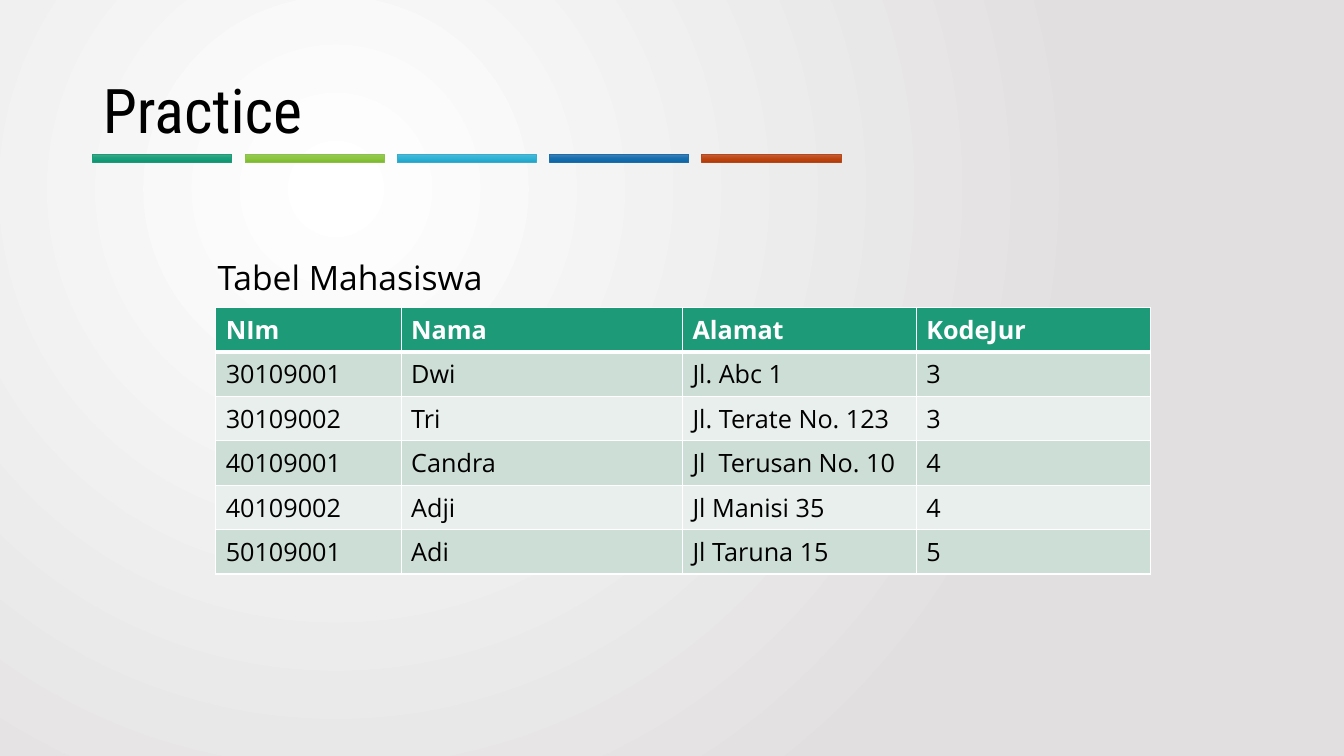
from pptx import Presentation
from pptx.dml.color import RGBColor
from pptx.enum.shapes import MSO_SHAPE
from pptx.enum.text import MSO_ANCHOR, MSO_AUTO_SIZE, PP_ALIGN
from pptx.oxml.ns import qn
from pptx.util import Inches, Pt
from lxml.etree import SubElement

WIDTH, HEIGHT = Inches(13.33), Inches(7.5)
HEAD, BODY = "Roboto Condensed", "Open Sans"
COLORS = {
    "text": "000000", "white": "FFFFFF", "edge": "E1DFDF",
    "header": "1D9A78", "odd": "CDDED6", "even": "E8EFEC",
}
# Each bar: top, middle and bottom of the gradient, then the outline
BARS = {
    "green": ("4EA788", "17A07B", "0F9470", "1D9A78"),
    "lime": ("98C862", "8CC73F", "7DB831", "8BC145"),
    "cyan": ("59B8D4", "2EB3D6", "21A4C6", "36AFCE"),
    "blue": ("4E80B5", "1670B0", "0D65A3", "1D6FA9"),
    "rust": ("C2634D", "BF4611", "B13B08", "B74919"),
}
STUDENTS = [
    ("NIm", "Nama", "Alamat", "KodeJur"),
    ("30109001", "Dwi", "Jl. Abc 1", "3"),
    ("30109002", "Tri", "Jl. Terate No. 123", "3"),
    ("40109001", "Candra", "Jl  Terusan No. 10", "4"),
    ("40109002", "Adji", "Jl Manisi 35", "4"),
    ("50109001", "Adi", "Jl Taruna 15", "5"),
]
COLUMNS = (13.8, 20.93, 17.4, 17.4)
ROW = 5.4


def across(share):
    """Percent of the slide's width."""
    return int(WIDTH * share / 100)


def down(share):
    """Percent of the slide's height."""
    return int(HEIGHT * share / 100)


def area(left, top, width, height):
    return across(left), down(top), across(width), down(height)


def color(name):
    return RGBColor.from_string(COLORS[name])


def blend(owner, fill, stops):
    """Give the fill evenly spaced gradient stops and return its element."""
    fill.gradient()
    grad = owner.find(".//" + qn("a:gradFill"))
    for child in list(grad):
        grad.remove(child)
    group = SubElement(grad, qn("a:gsLst"))
    for i, shade in enumerate(stops):
        stop = SubElement(group, qn("a:gs"), pos=str(i * 100000 // (len(stops) - 1)))
        SubElement(stop, qn("a:srgbClr"), val=shade)
    return grad


def backdrop(slide):
    stops = COLORS["white"], COLORS["edge"]
    grad = blend(slide.element, slide.background.fill, stops)
    track = SubElement(grad, qn("a:path"), path="circle")
    SubElement(track, qn("a:fillToRect"), l="50000", t="50000", r="100000", b="100000")


def write(frame, text, size, font, shade="text", bold=False):
    para = frame.paragraphs[0]
    para.alignment = PP_ALIGN.LEFT
    run = para.add_run()
    run.text = text
    run.font.size, run.font.name, run.font.bold = Pt(size), font, bold
    run.font.color.rgb = color(shade)
    return para


def bar(slide, left, shades):
    *stops, edge = shades
    shape = slide.shapes.add_shape(MSO_SHAPE.RECTANGLE, *area(left, 20.4, 10.35, 1.07))
    shape.shadow.inherit = False
    grad = blend(shape.element, shape.fill, stops)
    SubElement(grad, qn("a:lin"), ang="5400000", scaled="0")
    shape.line.color.rgb = RGBColor.from_string(edge)
    shape.line.width = Pt(0.5)


def heading(slide, text):
    title = slide.shapes.title
    title.left, title.top, title.width, title.height = area(6.9, 5.33, 86.27, 19.33)
    title.text_frame.vertical_anchor = MSO_ANCHOR.MIDDLE
    write(title.text_frame, text, 44, HEAD).line_spacing = 0.9


def label(slide, text):
    frame = slide.shapes.add_textbox(*area(15.45, 33.33, 21.45, 6.67)).text_frame
    frame.word_wrap = False
    frame.auto_size = MSO_AUTO_SIZE.SHAPE_TO_FIT_TEXT
    write(frame, text, 24, BODY)


def border(cell, widths):
    props = cell._tc.get_or_add_tcPr()
    for side, width in widths.items():
        line = SubElement(props, qn("a:ln" + side), w=str(Pt(width)))
        fill = SubElement(line, qn("a:solidFill"))
        SubElement(fill, qn("a:srgbClr"), val=COLORS["white"])


def table(slide, data):
    box = area(16.05, 40.67, sum(COLUMNS), ROW * len(data))
    grid = slide.shapes.add_table(len(data), len(COLUMNS), *box).table
    for column, share in zip(grid.columns, COLUMNS):
        column.width = across(share)
    for r, record in enumerate(data):
        grid.rows[r].height = down(ROW)
        band = "header" if r == 0 else "odd" if r % 2 else "even"
        for c, text in enumerate(record):
            cell = grid.cell(r, c)
            border(cell, {"L": 1, "R": 1, "T": 3 if r == 1 else 1, "B": 1 if r else 3})
            cell.fill.solid()
            cell.fill.fore_color.rgb = color(band)
            write(cell.text_frame, text, 18, BODY, "text" if r else "white", r == 0)


def main():
    deck = Presentation()
    deck.slide_width, deck.slide_height = WIDTH, HEIGHT
    slide = deck.slides.add_slide(deck.slide_layouts[5])
    backdrop(slide)
    for i, shades in enumerate(BARS.values()):
        bar(slide, 6.9 + 11.33 * i, shades)
    heading(slide, "Practice")
    table(slide, STUDENTS)
    label(slide, "Tabel Mahasiswa")
    deck.save("out.pptx")


if __name__ == "__main__":
    main()
